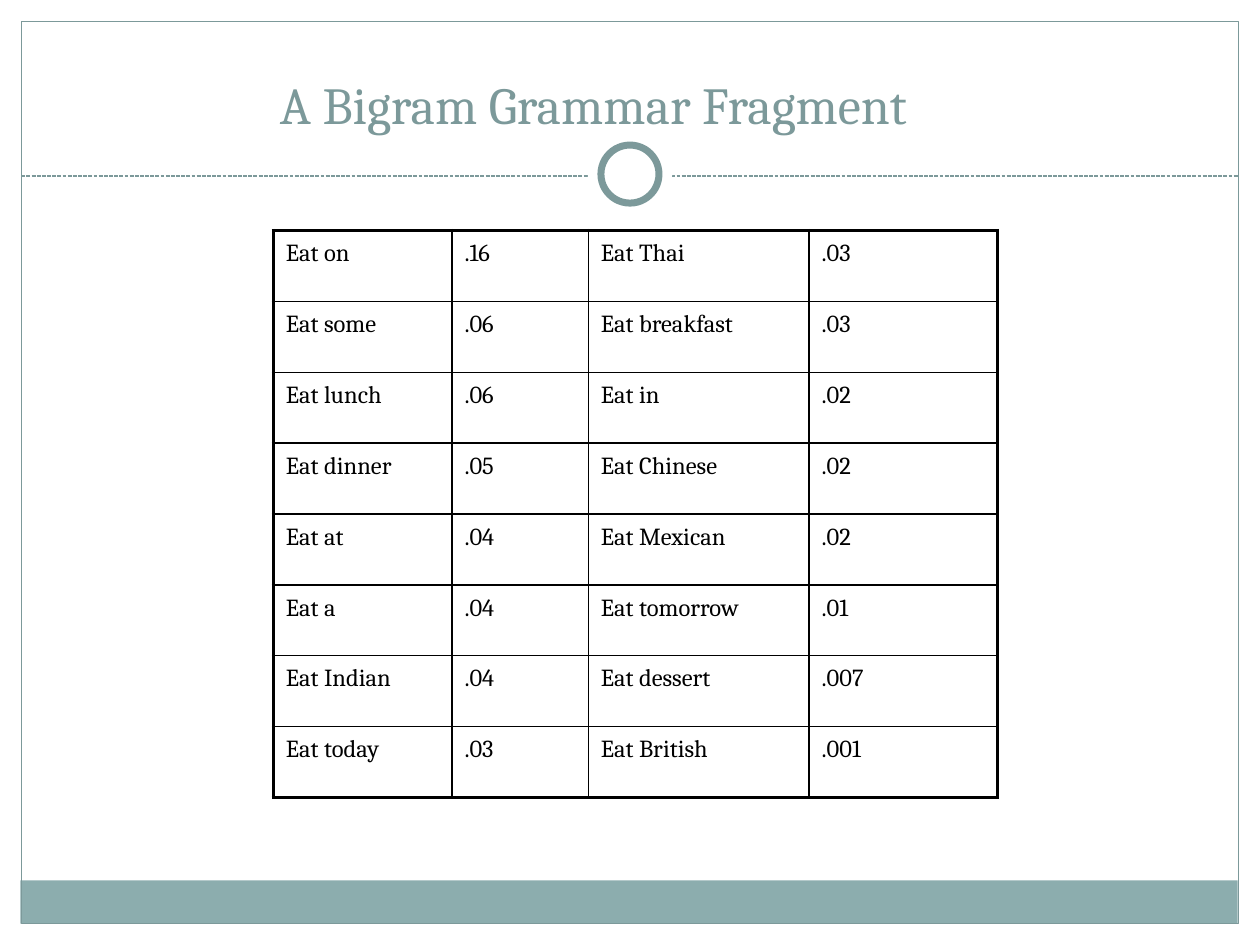
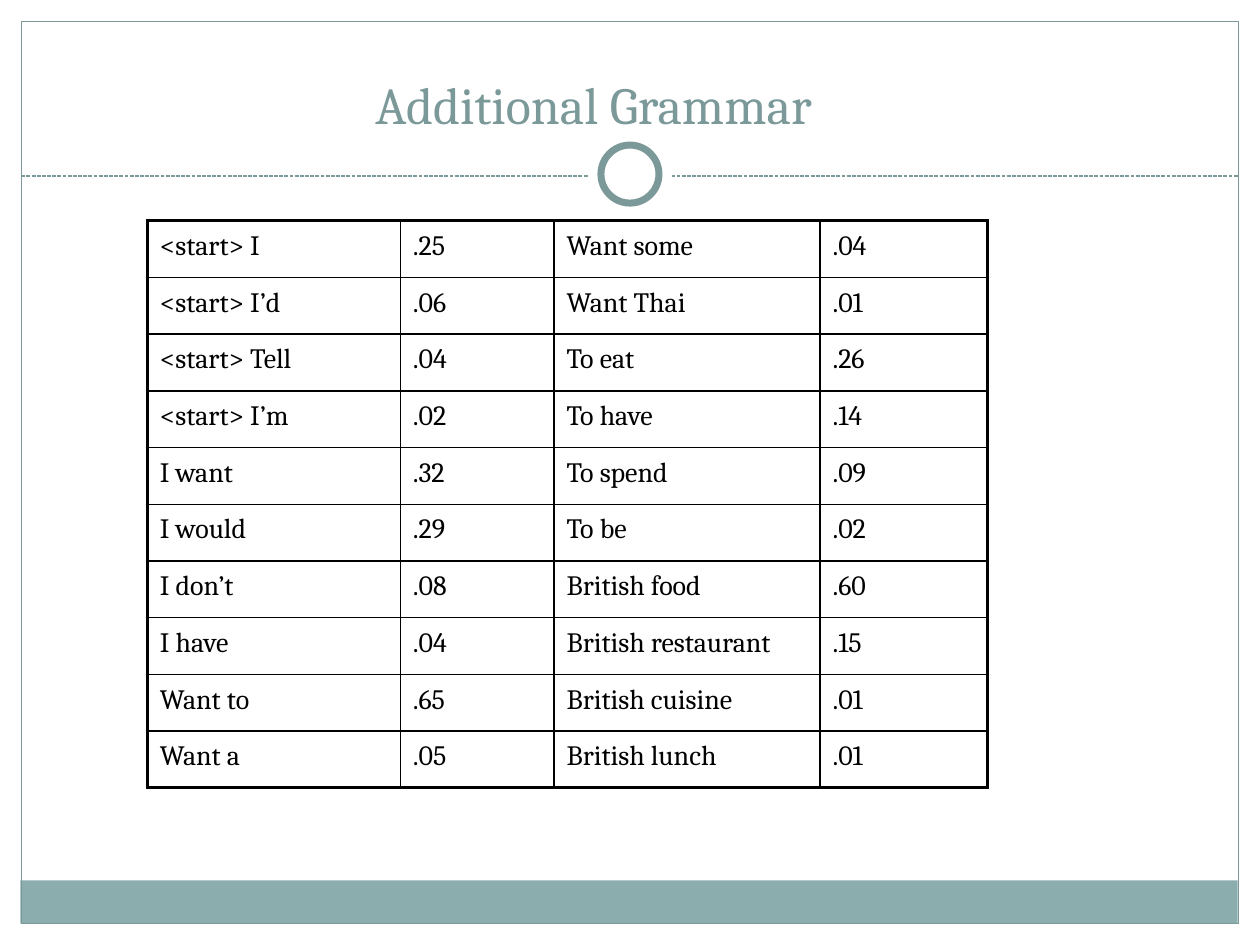
import dataclasses

import lxml.etree
import pptx
import pptx.dml.color
import pptx.enum.dml
import pptx.enum.shapes
import pptx.enum.text
import pptx.oxml.ns
import pptx.util

Cm = pptx.util.Cm
Pt = pptx.util.Pt
Shape = pptx.enum.shapes.MSO_SHAPE


@dataclasses.dataclass(frozen=True)
class Theme:
    font: str = "Cambria"
    paper: str = "FFFFFF"
    ink: str = "000000"
    accent: str = "7C999A"
    band: str = "8CADAE"
    title_size: float = 29.7
    hairline: float = 0.75
    ring_line: float = 4
    grid_line: float = 1
    table_edge: float = 2.25


def apply(target, formats):
    for name, value in formats.items():
        setattr(target, name, value)


def rgb(colour):
    return pptx.dml.color.RGBColor.from_string(colour)


class Deck:
    """Holds the theme and the slide being drawn."""

    def __init__(self, theme):
        self.theme = theme
        self.show = pptx.Presentation()
        self.width, self.height = 25.4, 19.05
        apply(self.show, {"slide_width": Cm(self.width),
                          "slide_height": Cm(self.height)})
        self.slide = None

    def style_line(self, line, colour, points):
        line.color.rgb = rgb(colour)
        line.width = Pt(points)

    def style_text(self, paragraph, text, size, colour, formats):
        run = paragraph.add_run()
        run.text = text
        apply(paragraph, formats)
        apply(run.font, {"name": self.theme.font, "size": Pt(size)})
        run.font.color.rgb = rgb(colour)

    def shape(self, kind, box, fill=None, line=None, points=0):
        shape = self.slide.shapes.add_shape(kind, *map(Cm, box))
        shape.shadow.inherit = False
        if fill:
            shape.fill.solid()
            shape.fill.fore_color.rgb = rgb(fill)
        else:
            shape.fill.background()
        if line:
            self.style_line(shape.line, line, points)
        else:
            shape.line.fill.background()

    def circle(self, centre, diameter, **look):
        x, y = (position - diameter / 2 for position in centre)
        self.shape(Shape.OVAL, (x, y, diameter, diameter), **look)

    def dashed_rule(self, left, right, y):
        rule = self.slide.shapes.add_connector(
            pptx.enum.shapes.MSO_CONNECTOR.STRAIGHT, Cm(left), Cm(y), Cm(right), Cm(y))
        self.style_line(rule.line, self.theme.accent, self.theme.hairline)
        rule.line.dash_style = pptx.enum.dml.MSO_LINE.SQUARE_DOT
        lxml.etree.SubElement(rule._element.spPr, pptx.oxml.ns.qn("a:effectLst"))

    def title(self, text):
        frame = self.slide.shapes.add_textbox(*map(Cm, (0.64, 1.5, 22.66, 1.22))).text_frame
        apply(frame, {"word_wrap": True, "margin_top": 0, "margin_bottom": 0,
                      "vertical_anchor": pptx.enum.text.MSO_ANCHOR.BOTTOM})
        self.style_text(frame.paragraphs[0], text, self.theme.title_size, self.theme.accent,
                        {"alignment": pptx.enum.text.PP_ALIGN.CENTER})

    def new_slide(self, title):
        theme = self.theme
        self.slide = self.show.slides.add_slide(self.show.slide_layouts[6])
        margin = 0.43
        inner = self.width - 2 * margin
        # Paper margins and header
        for box in ((0, 0, self.width, 3.86), (0, 0, margin, self.height),
                    (self.width - margin, 0, margin, self.height)):
            self.shape(Shape.RECTANGLE, box, fill=theme.paper)
        # Footer band and frame
        self.shape(Shape.RECTANGLE, (0.41, 17.75, inner, 0.87), fill=theme.band)
        self.shape(Shape.RECTANGLE, (margin, margin, inner, self.height - 2 * margin),
                   line=theme.accent, points=theme.hairline)
        # Dashed rule broken by the ring
        self.dashed_rule(margin, self.width - margin, 3.55)
        ring_centre = (self.width / 2, 3.51)
        self.circle(ring_centre, 1.7, fill=theme.paper)
        self.circle(ring_centre, 1.17, fill=theme.paper,
                    line=theme.accent, points=theme.ring_line)
        self.title(title)

    def cell_borders(self, cell, edges):
        properties = cell._tc.get_or_add_tcPr()
        for side, on_edge in edges.items():
            points = self.theme.table_edge if on_edge else self.theme.grid_line
            border = lxml.etree.SubElement(properties, pptx.oxml.ns.qn(f"a:ln{side}"),
                                           w=str(int(Pt(points))))
            fill = lxml.etree.SubElement(border, pptx.oxml.ns.qn("a:solidFill"))
            lxml.etree.SubElement(fill, pptx.oxml.ns.qn("a:srgbClr"), val=self.theme.ink)

    def probability_table(self, left, top, widths, size, rows):
        height = 11.43
        table = self.slide.shapes.add_table(
            len(rows), len(widths), Cm(left), Cm(top), Cm(sum(widths)), Cm(height)).table
        apply(table, {"first_row": False, "horz_banding": False})
        for column, width in zip(table.columns, widths):
            column.width = Cm(width)
        for r, row in enumerate(rows):
            table.rows[r].height = Cm(height / len(rows))
            for c, text in enumerate(row):
                cell = table.cell(r, c)
                self.style_text(cell.text_frame.paragraphs[0], text, size,
                                self.theme.ink, {"line_spacing": 1.1})
                self.cell_borders(cell, {"L": c == 0, "R": c == len(widths) - 1,
                                         "T": r == 0, "B": r == len(rows) - 1})
                cell.fill.background()


EAT_BIGRAMS = [
    ("Eat on", ".16", "Eat Thai", ".03"),
    ("Eat some", ".06", "Eat breakfast", ".03"),
    ("Eat lunch", ".06", "Eat in", ".02"),
    ("Eat dinner", ".05", "Eat Chinese", ".02"),
    ("Eat at", ".04", "Eat Mexican", ".02"),
    ("Eat a", ".04", "Eat tomorrow", ".01"),
    ("Eat Indian", ".04", "Eat dessert", ".007"),
    ("Eat today", ".03", "Eat British", ".001"),
]

ADDITIONAL_BIGRAMS = [
    ("<start> I", ".25", "Want some", ".04"),
    ("<start> I’d", ".06", "Want Thai", ".01"),
    ("<start> Tell", ".04", "To eat", ".26"),
    ("<start> I’m", ".02", "To have", ".14"),
    ("I want", ".32", "To spend", ".09"),
    ("I would", ".29", "To be", ".02"),
    ("I don’t", ".08", "British food", ".60"),
    ("I have", ".04", "British restaurant", ".15"),
    ("Want to", ".65", "British cuisine", ".01"),
    ("Want a", ".05", "British lunch", ".01"),
]


def main():
    deck = Deck(Theme())

    # Bigrams that start with "eat"
    deck.new_slide("A Bigram Grammar Fragment")
    deck.probability_table(5.51, 4.65, (3.6, 2.75, 4.45, 3.8), 14, EAT_BIGRAMS)

    # Other bigrams
    deck.new_slide("Additional Grammar")
    deck.probability_table(2.97, 4.45, (5.1, 3.1, 5.36, 3.38), 16, ADDITIONAL_BIGRAMS)

    deck.show.save("out.pptx")


if __name__ == "__main__":
    main()
